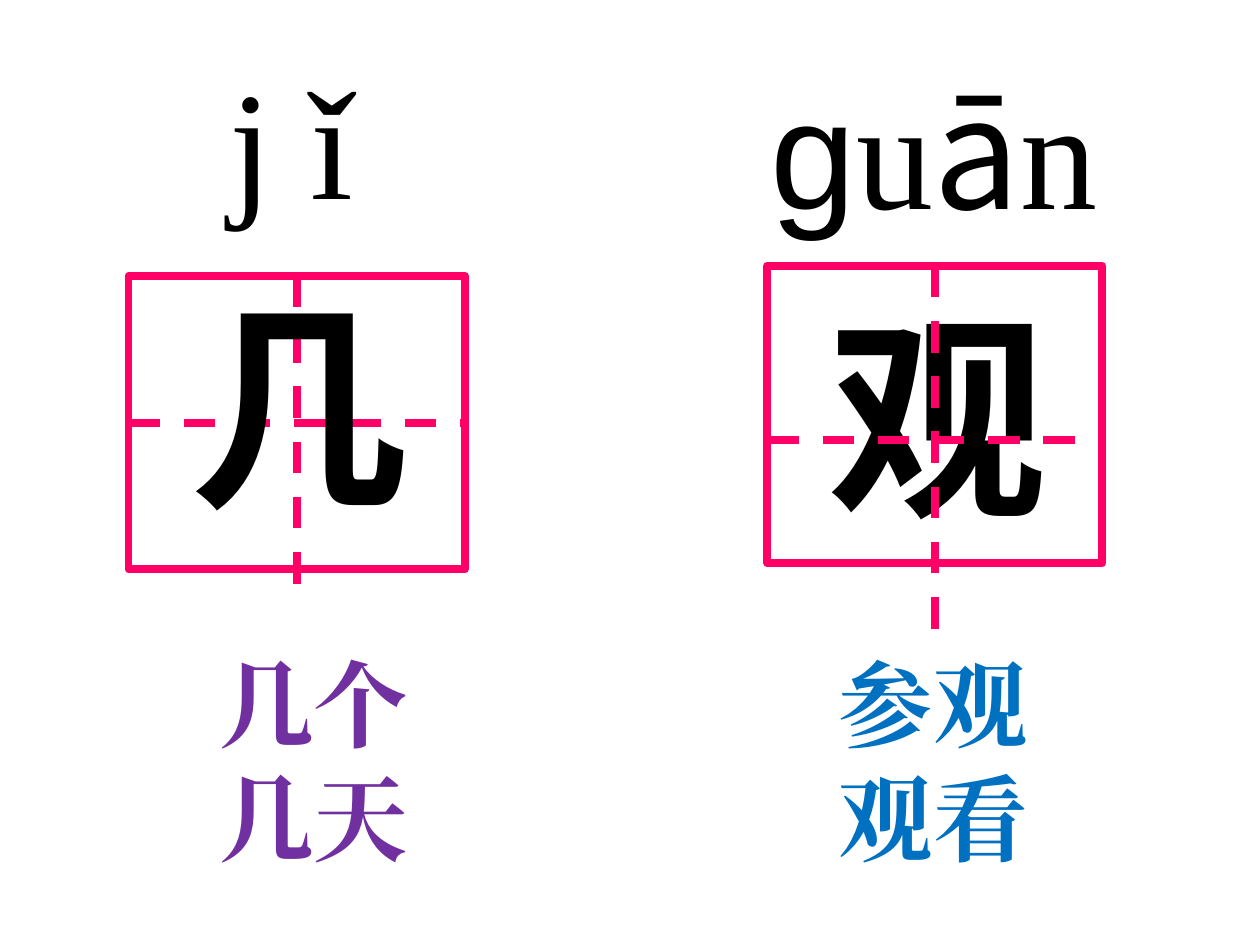
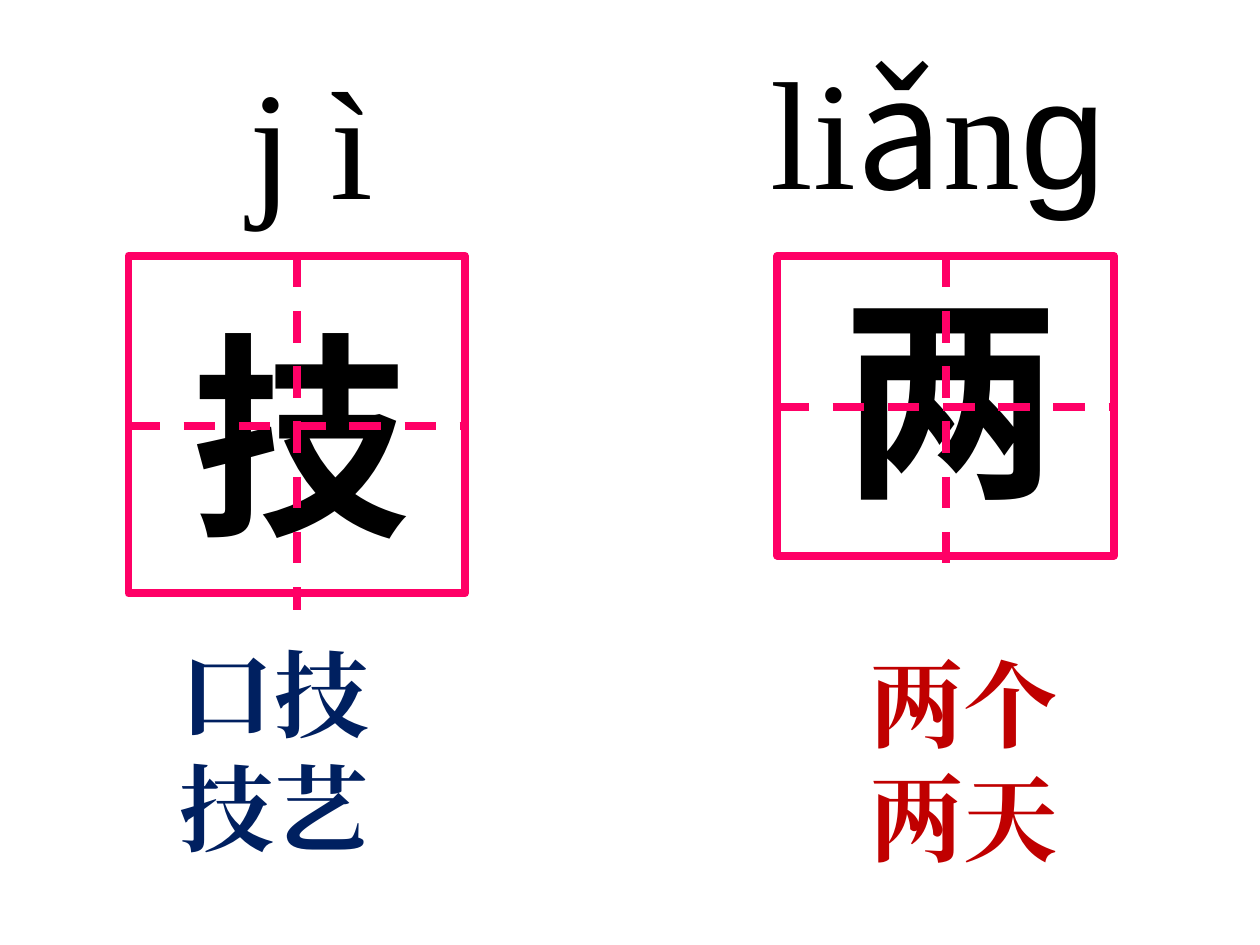
"""Build two slides of Chinese character cards with pinyin, writing grid and sample words."""
from dataclasses import dataclass

from lxml.etree import SubElement
from pptx import Presentation
from pptx.dml.color import RGBColor
from pptx.enum.dml import MSO_LINE
from pptx.enum.shapes import MSO_CONNECTOR, MSO_SHAPE
from pptx.enum.text import MSO_AUTO_SIZE
from pptx.oxml.ns import qn
from pptx.util import Inches, Pt


@dataclass(frozen=True)
class Theme:
    ink: str = "000000"
    grid: str = "FF0066"
    purple: str = "7030A0"
    blue: str = "0070C0"
    navy: str = "002060"
    red: str = "C00000"
    serif: str = "Times New Roman"
    sans: str = "Arial"
    accented: str = "Noto Sans CJK SC"
    pinyin_size: int = 88
    character_size: int = 125
    word_size: int = 54
    grid_width: float = 4.5


THEME = Theme()


def add_text(slide, place, lines, size, color, bold=False, wrap=True):
    box = slide.shapes.add_textbox(*map(Inches, place))
    frame = box.text_frame
    frame.word_wrap = wrap
    frame.auto_size = MSO_AUTO_SIZE.SHAPE_TO_FIT_TEXT
    for index, line in enumerate(lines):
        paragraph = frame.paragraphs[0] if index == 0 else frame.add_paragraph()
        for text, typeface in line:
            run = paragraph.add_run()
            run.text = text
            run.font.size = Pt(size)
            run.font.bold = bold
            run.font.color.rgb = RGBColor.from_string(color)
            run.font.name = typeface
            SubElement(run.font._element, qn("a:ea"), typeface=typeface)


def add_writing_grid(slide, left, top, width, height, middle, bottom):
    grid = slide.shapes.add_group_shape().shapes
    border = grid.add_shape(MSO_SHAPE.RECTANGLE, *map(Inches, (left, top, width, height)))
    border.shadow.inherit = False
    border.fill.background()
    center = left + width / 2
    guides = [(left, middle, left + width, middle), (center, top, center, bottom)]
    strokes = [border]
    for ends in guides:
        guide = grid.add_connector(MSO_CONNECTOR.STRAIGHT, *map(Inches, ends))
        guide.line.dash_style = MSO_LINE.DASH
        SubElement(guide._element.spPr, qn("a:effectLst"))
        strokes.append(guide)
    for stroke in strokes:
        stroke.line.color.rgb = RGBColor.from_string(THEME.grid)
        stroke.line.width = Pt(THEME.grid_width)


lessons = [
    [
        dict(
            pinyin=[("j ǐ", THEME.serif)], pinyin_at=(1.72, 0.31, 2.66, 1.57),
            character="几", character_at=(1.41, 2.11, 2.29, 2.19), wrap=True,
            grid=(1.02, 2.19, 2.67, 2.33, 3.36, 4.64), grid_behind=True,
            words=["几个", "几天"], words_at=(1.64, 5.08, 1.8, 1.9), color=THEME.purple,
        ),
        dict(
            pinyin=[("g", THEME.sans), ("u", THEME.serif), ("ā", THEME.accented), ("n", THEME.serif)],
            pinyin_at=(6.02, 0.39, 2.81, 1.57),
            character="观", character_at=(6.48, 2.19, 2.81, 2.19), wrap=True,
            grid=(6.09, 2.11, 2.66, 2.36, 3.49, 5), grid_behind=False,
            words=["参观", "观看"], words_at=(6.56, 5.08, 2.73, 1.9), color=THEME.blue,
        ),
    ],
    [
        dict(
            pinyin=[("j ì", THEME.serif)], pinyin_at=(1.88, 0.31, 2.19, 1.57),
            character="技", character_at=(1.42, 2.34, 1.93, 2.19), wrap=False,
            grid=(1.02, 2.03, 2.67, 2.68, 3.38, 4.84), grid_behind=False,
            words=["口技", "技艺"], words_at=(1.33, 5, 2.58, 1.9), color=THEME.navy,
        ),
        dict(
            pinyin=[("li", THEME.serif), ("ǎ", THEME.accented), ("n", THEME.serif), ("g", THEME.sans)],
            pinyin_at=(6.02, 0.23, 3.44, 1.57),
            character="两", character_at=(6.58, 2.03, 1.93, 2.19), wrap=False,
            grid=(6.17, 2.03, 2.67, 2.38, 3.23, 4.53), grid_behind=False,
            words=["两个", "两天"], words_at=(6.8, 5.08, 2.34, 1.9), color=THEME.red,
        ),
    ],
]

deck = Presentation()
deck.slide_width = Inches(10)
deck.slide_height = Inches(7.5)

for lesson in lessons:
    slide = deck.slides.add_slide(deck.slide_layouts[6])
    for card in lesson:
        if card["grid_behind"]:
            add_writing_grid(slide, *card["grid"])
        add_text(slide, card["character_at"], [[(card["character"], THEME.sans)]],
                 THEME.character_size, THEME.ink, bold=True, wrap=card["wrap"])
        if not card["grid_behind"]:
            add_writing_grid(slide, *card["grid"])
        add_text(slide, card["pinyin_at"], [card["pinyin"]], THEME.pinyin_size, THEME.ink)
        add_text(slide, card["words_at"], [[(word, THEME.serif)] for word in card["words"]],
                 THEME.word_size, card["color"], bold=True)

deck.save("out.pptx")
